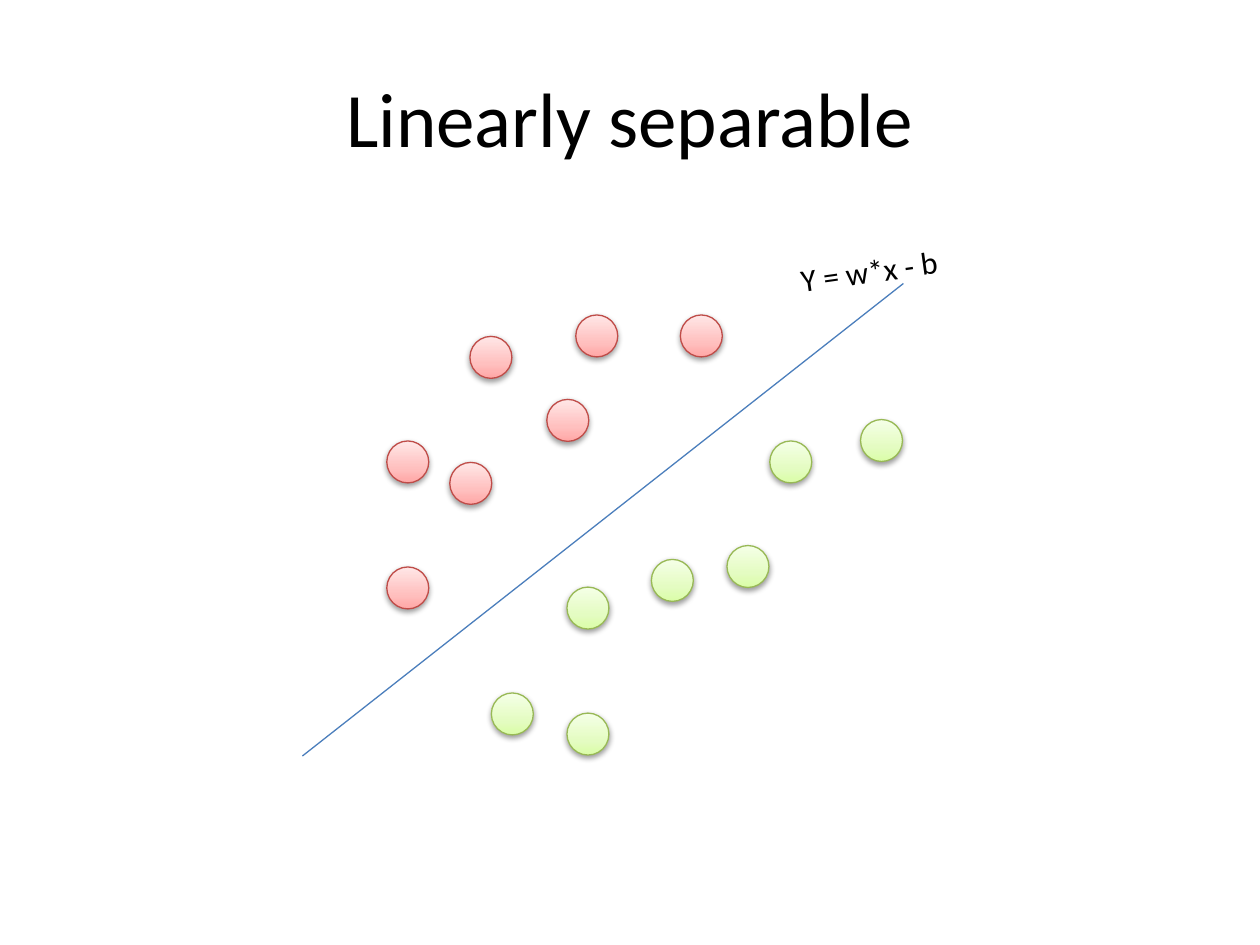
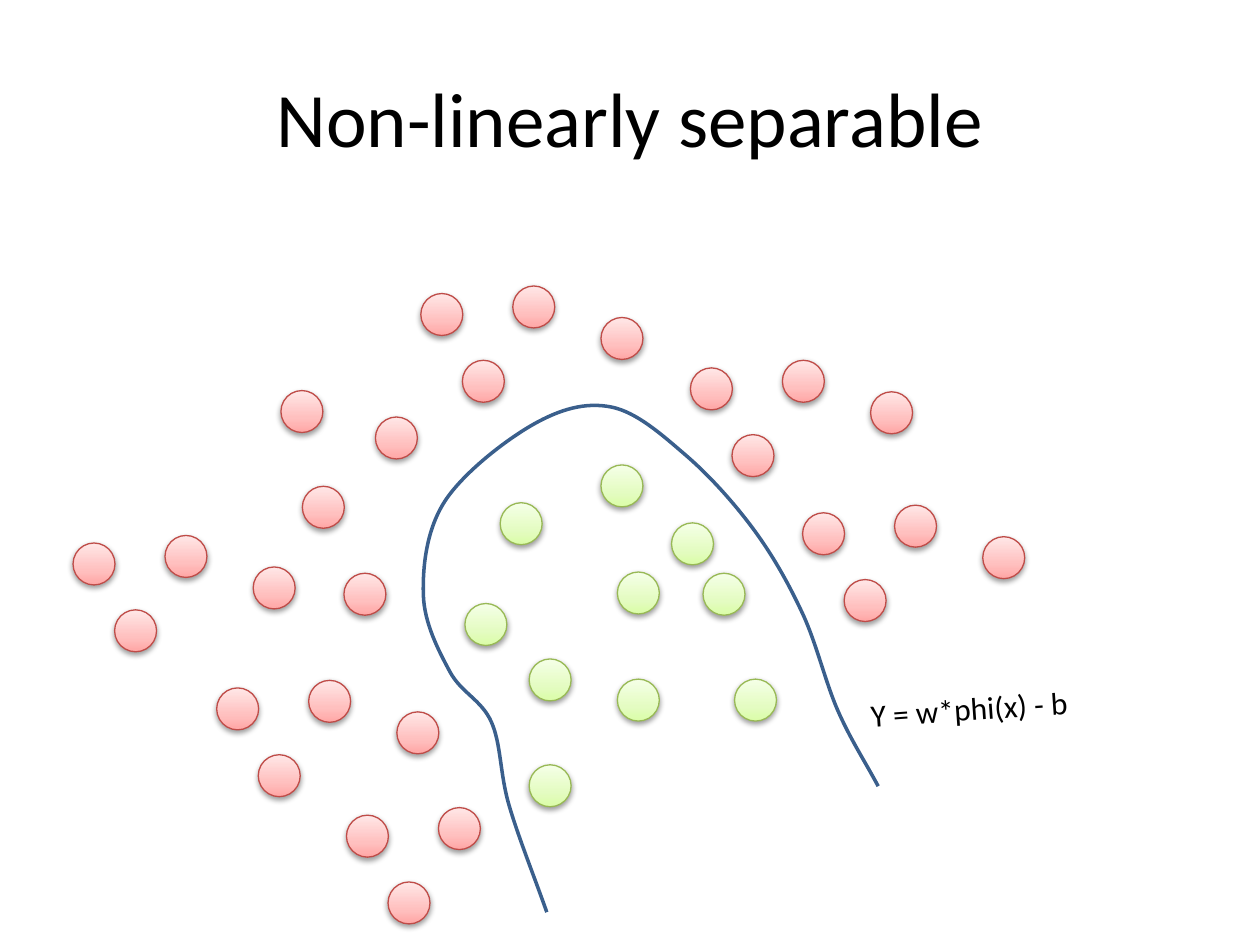
from copy import deepcopy
from dataclasses import dataclass

from lxml import etree
from pptx import Presentation, util as u
from pptx.dml.color import RGBColor
from pptx.enum import shapes, text
from pptx.oxml import parse_xml
from pptx.oxml.ns import nsdecls, qn

# Shared look; positions are columns and rows of a 100 by 75 grid
FONT = "Calibri"
INK = "000000"
CELL = u.Inches(0.1)
DOT_SIZE = 3.33
LABEL_SIZE = (18.4, 4)
STOPS = (0, 0.35, 1)
RED = {"fill": ("FFA6A5", "FFC0BF", "FFE7E7"), "line": "BF4C48"}
GREEN = {"fill": ("DAFDA7", "E4FCC2", "F5FFE7"), "line": "98B955"}
SHADOW = f"""<a:outerShdw {nsdecls("a")} blurRad="40000" dist="20000"
  dir="5400000" rotWithShape="0"><a:srgbClr val="000000">
  <a:alpha val="38000"/></a:srgbClr></a:outerShdw>"""

# Linearly separable points
LINEAR_RED = [(13.3, 4.2), (21.7, 2.5), (11.7, 14.2), (19.4, 9.2),
              (30, 2.5), (6.7, 22.5), (6.7, 12.5)]
LINEAR_GREEN = [(15, 32.5), (37.1, 12.5), (27.7, 21.9), (33.7, 20.8),
                (44.3, 10.8), (21, 34.1), (21, 24.1)]

# Non-linearly separable points: red ones come mostly in equal clusters
CLUSTER = [(0, 0), (7.3, -0.6), (3.3, 5.3), (14.3, 1.9)]
CLUSTER_STARTS = [(27.6, 0.6), (49, 6.5), (57.9, 18), (11.4, 31.9), (0, 20.4)]
LAST_CLUSTER = (21.7, 42)
SINGLE_RED = [(24, 10.4), (21.5, 22.8), (16.5, 8.3), (18.2, 15.9)]
CURVED_GREEN = [(31.1, 25.2), (47.5, 18.8), (41.9, 14.2), (43.2, 22.7),
                (50, 22.8), (36.2, 29.6), (33.9, 17.2), (43.2, 31.2),
                (36.2, 38), (52.5, 31.2)]
BOUNDARY = [(37.6, 49.7), (34.6, 41.2), (33.2, 34.6), (29.9, 30.6),
            (27.8, 24.5), (29.5, 17.1), (36.5, 11), (42.7, 9.6),
            (48.6, 13.4), (54, 19.3), (57.9, 26), (60.7, 33.7), (63.9, 39.7)]


def color(hex_text):
    return RGBColor.from_string(hex_text)


def size(cells):
    return u.Emu(round(cells * CELL))


def set_line(shape, hex_text, points):
    shape.line.color.rgb = color(hex_text)
    shape.line.width = u.Pt(points)


def set_font(para, points):
    para.font.name = FONT
    para.font.size = u.Pt(points)
    para.font.color.rgb = color(INK)


@dataclass
class Plot:
    """A plot region whose points count from its top left corner."""
    page: object
    left: float
    top: float

    def place(self, point):
        return size(self.left + point[0]), size(self.top + point[1])

    def dots(self, points, style):
        for point in points:
            dot = self.page.shapes.add_shape(
                shapes.MSO_SHAPE.OVAL, *self.place(point),
                size(DOT_SIZE), size(DOT_SIZE))
            set_line(dot, style["line"], 0.75)
            # Three-stop gradient, darkest at the bottom
            dot.fill.gradient()
            dot.fill.gradient_angle = 90
            stops = dot._element.spPr.find(".//" + qn("a:gsLst"))
            stops.insert(1, deepcopy(stops[0]))
            for stop, shade, position in zip(
                    dot.fill.gradient_stops, style["fill"], STOPS):
                stop.color.rgb = color(shade)
                stop.position = position
            # Soft shadow below
            dot.shadow.inherit = False
            dot._element.spPr.find(qn("a:effectLst")).append(parse_xml(SHADOW))

    def straight_boundary(self, start, end):
        line = self.page.shapes.add_connector(
            shapes.MSO_CONNECTOR.STRAIGHT, *self.place(start), *self.place(end))
        set_line(line, "4B7EBC", 0.75)
        etree.SubElement(line._element.spPr, qn("a:effectLst"))

    def curved_boundary(self, anchors):
        places = [self.place(anchor) for anchor in anchors]
        builder = self.page.shapes.build_freeform(*places[0])
        builder.add_line_segments(places[1:], close=False)
        curve = builder.convert_to_shape()
        curve.fill.background()
        curve.shadow.inherit = False
        set_line(curve, "3A5F8C", 2)
        smooth(curve)

    def label(self, formula, point, angle):
        box = self.page.shapes.add_textbox(
            *self.place(point), *map(size, LABEL_SIZE))
        box.rotation = angle
        frame = box.text_frame
        frame.word_wrap = True
        frame.auto_size = text.MSO_AUTO_SIZE.SHAPE_TO_FIT_TEXT
        frame.text = formula
        set_font(frame.paragraphs[0], 18)


def smooth(curve):
    """Turn a freeform's straight segments into a spline through its points."""
    outline = curve._element.spPr.find(".//" + qn("a:path"))
    knots = [(int(pt.get("x")), int(pt.get("y")))
             for pt in outline.iter(qn("a:pt"))]

    def beyond(end, inner):
        return tuple(2 * a - b for a, b in zip(end, inner))

    chain = [beyond(knots[0], knots[1]), *knots, beyond(knots[-1], knots[-2])]
    segments = outline.findall(qn("a:lnTo"))
    for segment, before, start, end, after in zip(
            segments, chain, chain[1:], chain[2:], chain[3:]):
        leave = [s + (e - b) / 6 for b, s, e in zip(before, start, end)]
        arrive = [e - (a - s) / 6 for s, e, a in zip(start, end, after)]
        bend = etree.Element(qn("a:cubicBezTo"))
        for x, y in (leave, arrive, end):
            etree.SubElement(bend, qn("a:pt"), x=str(round(x)), y=str(round(y)))
        outline.replace(segment, bend)


def add_page(deck, heading):
    page = deck.slides.add_slide(deck.slide_layouts.get_by_name("Title Only"))
    title = page.shapes.title
    title.left, title.top, title.width, title.height = map(
        size, (5, 3, 90, 12.5))
    title.text_frame.text = heading
    title.text_frame.vertical_anchor = text.MSO_ANCHOR.MIDDLE
    para = title.text_frame.paragraphs[0]
    para.alignment = text.PP_ALIGN.CENTER
    set_font(para, 44)
    return page


def linear_page(deck):
    plot = Plot(add_page(deck, "Linearly separable"), 24, 22.5)
    plot.dots(LINEAR_RED, RED)
    plot.dots(LINEAR_GREEN, GREEN)
    plot.straight_boundary((0, 37.5), (47.7, 0))
    plot.label("Y = w*x - b", (38.5, -3.4), 351.9)


def curved_page(deck):
    plot = Plot(add_page(deck, "Non-linearly separable"), 5.8, 22.7 + 0.6)
    plot.top = 22.7
    clusters = [(start, CLUSTER) for start in CLUSTER_STARTS]
    clusters.append((LAST_CLUSTER, CLUSTER[:3]))
    for (column, row), members in clusters:
        plot.dots([(column + x, row + y) for x, y in members], RED)
    plot.dots(SINGLE_RED, RED)
    plot.dots(CURVED_GREEN, GREEN)
    plot.curved_boundary(BOUNDARY)
    plot.label("Y = w*phi(x) - b", (62.3, 31.5), 356)


def main():
    deck = Presentation()
    deck.slide_width, deck.slide_height = size(100), size(75)
    linear_page(deck)
    curved_page(deck)
    deck.save("out.pptx")


if __name__ == "__main__":
    main()
